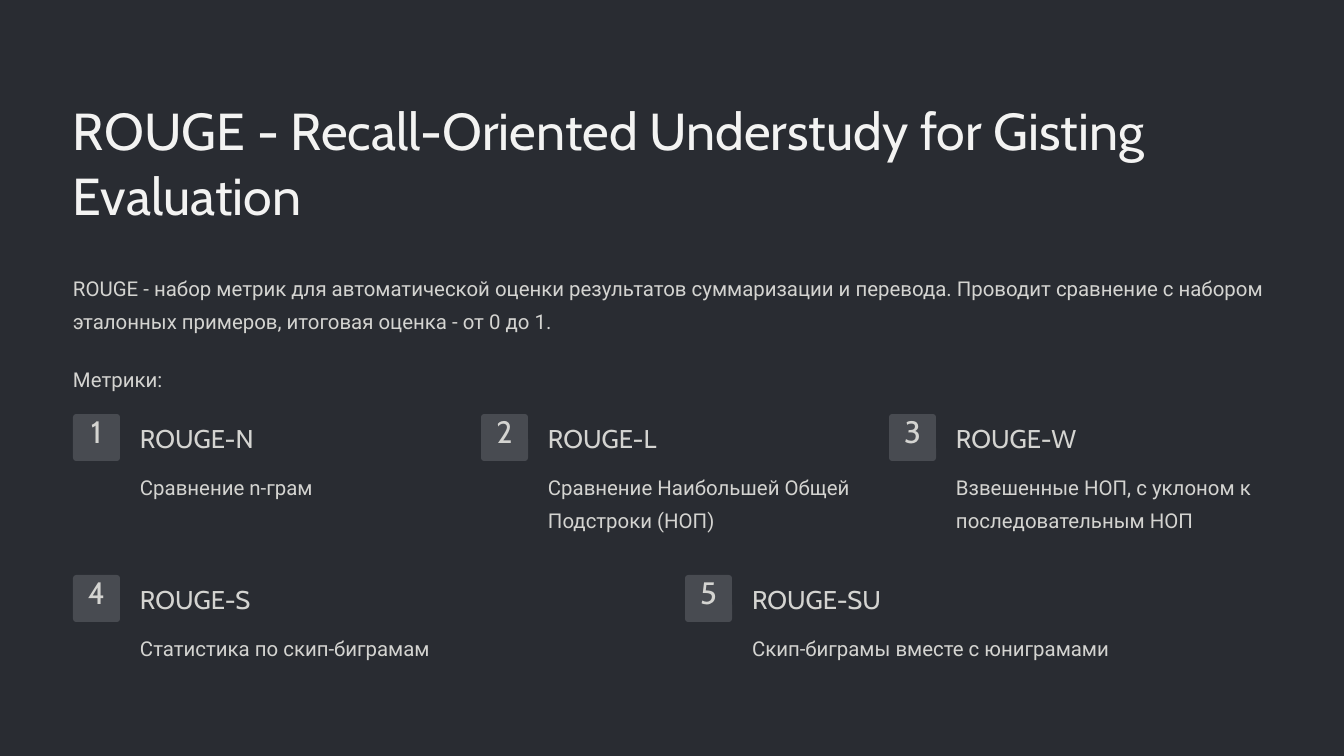
from pptx import Presentation
from pptx.dml.color import RGBColor
from pptx.enum.shapes import MSO_SHAPE
from pptx.enum.text import MSO_ANCHOR, MSO_AUTO_SIZE, PP_ALIGN
from pptx.util import Pt

PX = 914400 // 84

# Colours, and text styles as font, size, line spacing, colour
THEME = {
    "background": RGBColor.from_string("292C32"),
    "badge": RGBColor.from_string("484B51"),
    "title": ("Cabin", 44.5, 55.5, RGBColor.from_string("F3F3F2")),
    "body": ("Roboto", 17.5, 28.5, RGBColor.from_string("D4D4D1")),
    "heading": ("Cabin", 22, 27.5, RGBColor.from_string("D4D4D1")),
    "number": ("Cabin", 26.5, 26.5, RGBColor.from_string("D4D4D1")),
}


def write(shape, text, style, align=PP_ALIGN.LEFT, top=0):
    tf = shape.text_frame
    tf.auto_size = MSO_AUTO_SIZE.NONE
    tf.word_wrap = True
    tf.vertical_anchor = MSO_ANCHOR.TOP
    tf.margin_left = tf.margin_right = tf.margin_bottom = 0
    tf.margin_top = top * PX
    p = tf.paragraphs[0]
    p.text = text
    p.alignment = align
    font, size, spacing, color = THEME[style]
    p.line_spacing = Pt(spacing)
    p.font.name = font
    p.font.size = Pt(size)
    p.font.color.rgb = color


def add_text(x, y, w, h, text, style):
    box = s.shapes.add_textbox(x * PX, y * PX, w * PX, h * PX)
    write(box, text, style)


prs = Presentation()
prs.slide_width, prs.slide_height = 1344 * PX, 756 * PX
s = prs.slides.add_slide(prs.slide_layouts[5])
s.background.fill.solid()
s.background.fill.fore_color.rgb = THEME["background"]

LEFT, WIDTH = 73, 1198

# Title
title = s.shapes.title
title.left, title.top = LEFT * PX, 96 * PX
title.width, title.height = WIDTH * PX, 130 * PX
write(title, "ROUGE - Recall-Oriented Understudy for Gisting Evaluation", "title")

# Introduction
add_text(LEFT, 267, WIDTH, 66,
         "ROUGE - набор метрик для автоматической оценки результатов суммаризации "
         "и перевода. Проводит сравнение с набором эталонных примеров, "
         "итоговая оценка - от 0 до 1.", "body")
add_text(LEFT, 358, WIDTH, 34, "Метрики:", "body")

# Numbered metrics: rows share the slide width equally
BADGE, GAP, INDENT = 47, 26, 67
rows = [
    (414, [("ROUGE-N", "Сравнение n-грам"),
           ("ROUGE-L", "Сравнение Наибольшей Общей Подстроки (НОП)"),
           ("ROUGE-W", "Взвешенные НОП, с уклоном к последовательным НОП")]),
    (575, [("ROUGE-S", "Статистика по скип-биграмам"),
           ("ROUGE-SU", "Скип-биграмы вместе с юниграмами")]),
]
number = 0
for y, metrics in rows:
    step = (WIDTH + GAP) // len(metrics)
    for col, (name, description) in enumerate(metrics):
        number += 1
        x = LEFT + col * step
        badge = s.shapes.add_shape(MSO_SHAPE.ROUNDED_RECTANGLE,
                                   x * PX, y * PX, BADGE * PX, BADGE * PX)
        badge.adjustments[0] = 0.07
        badge.shadow.inherit = False
        badge.fill.solid()
        badge.fill.fore_color.rgb = THEME["badge"]
        badge.line.fill.background()
        write(badge, str(number), "number", PP_ALIGN.CENTER, top=4)
        text_width = step - GAP - INDENT
        add_text(x + INDENT, y + 8, text_width, 33, name, "heading")
        add_text(x + INDENT, y + 52, text_width, 66, description, "body")

prs.save("out.pptx")
